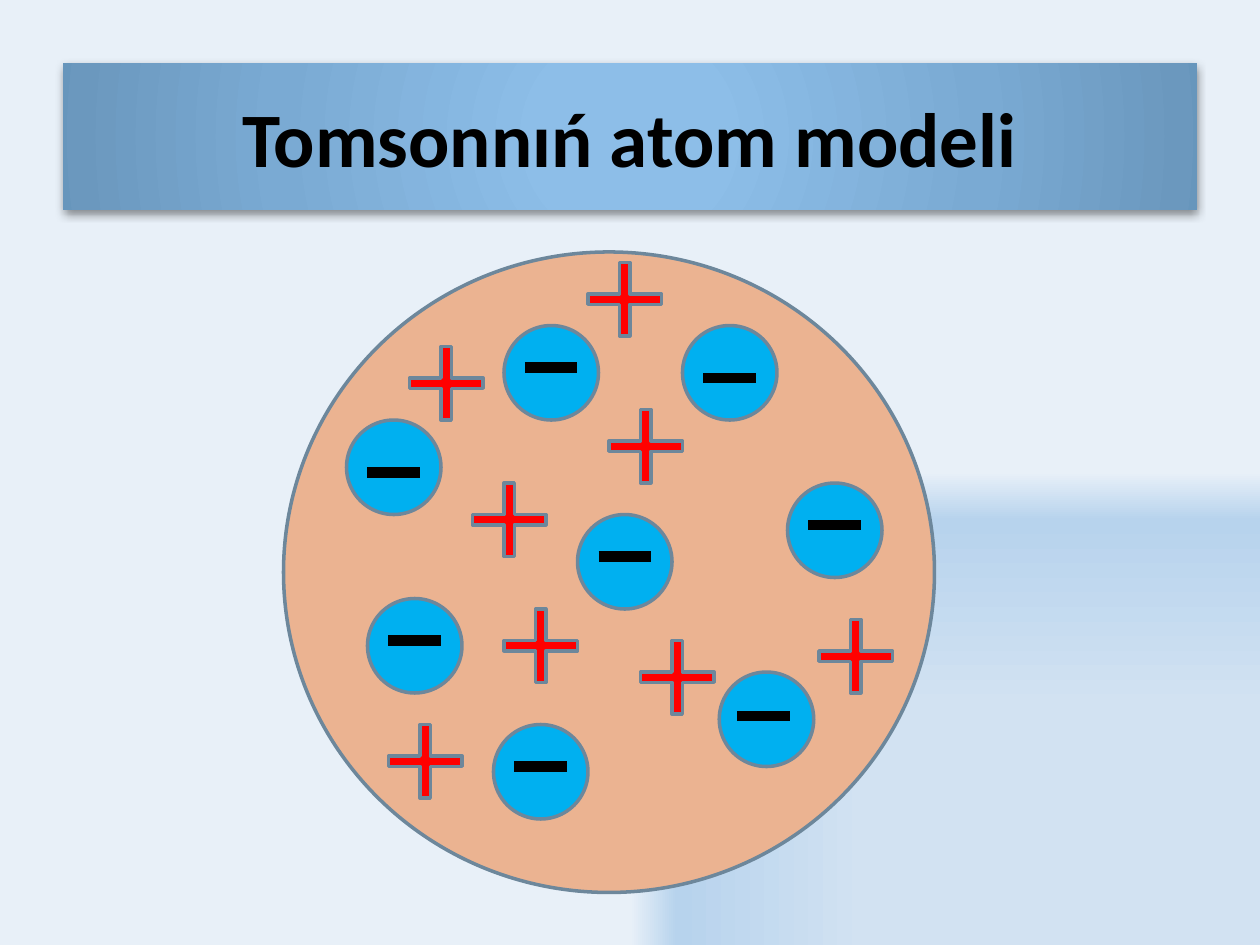
from lxml import etree
from pptx import Presentation
from pptx import util as u
from pptx.dml.color import RGBColor
from pptx.enum import shapes, text
from pptx.oxml import parse_xml
from pptx.oxml.ns import nsdecls, qn

COLORS = {
    "atom": "EBB391",
    "electron": "00B0F0",
    "positive": "FF0000",
    "outline": "6D879B",
    "ink": "000000",
}
BACKGROUND_STOPS = [(50, "D2E2F2"), (90, "B7D3ED"), (100, "E8F0F8")]
BANNER_STOPS = [(0, "8DBFE9"), (15, "8DBEE8"), (62, "7AAAD3"), (97, "6B98BE"), (100, "6796BC")]

COLUMNS, ROWS = 120, 90
ELECTRON_SIZE, POSITIVE_SIZE, MINUS_LENGTH = 9, 7, 5

ATOM = (27, 24, 62, 61)
ELECTRONS = [
    (33, 40, 2, 5), (35, 57, 2, 4), (48, 31, 2, 4), (55, 49, 2, 4),
    (65, 31, 2, 5), (47, 69, 2, 4), (68.5, 64, 1.7, 4.2), (75, 46, 2, 4),
]
POSITIVES = [(45, 46), (39, 33), (58, 39), (48, 58), (37, 69), (61, 61), (78, 59), (56, 25)]


class SlideBuilder:
    font = "Calibri"
    outline_width = 2
    minus_width = 6

    def __init__(self, presentation):
        self.cell_width = presentation.slide_width / COLUMNS
        self.cell_height = presentation.slide_height / ROWS
        self.slide = presentation.slides.add_slide(presentation.slide_layouts[5])

    def place(self, left, top, width, height):
        return (
            round(left * self.cell_width), round(top * self.cell_height),
            round(width * self.cell_width), round(height * self.cell_height),
        )

    def color(self, name):
        return RGBColor.from_string(COLORS[name])

    def gradient(self, owner, stops, shade, focus):
        owner.fill.gradient()
        element = self.slide._element if owner is self.slide.background else owner._element
        gradient = element.xpath(".//a:gradFill")[0]
        for child in list(gradient):
            gradient.remove(child)
        stop_list = etree.SubElement(gradient, qn("a:gsLst"))
        for position, value in stops:
            stop = etree.SubElement(stop_list, qn("a:gs"), pos=str(position * 1000))
            etree.SubElement(stop, qn("a:srgbClr"), val=value)
        shading = etree.SubElement(gradient, qn("a:path"), path=shade)
        sides = {side: str(share * 1000) for side, share in zip("ltrb", focus)}
        etree.SubElement(shading, qn("a:fillToRect"), **sides)

    def background(self):
        self.gradient(self.slide.background, BACKGROUND_STOPS, "rect", (100, 100, 0, 0))

    def title(self, words, box):
        shape = self.slide.shapes.title
        shape.left, shape.top, shape.width, shape.height = self.place(*box)
        self.gradient(shape, BANNER_STOPS, "circle", (50, 50, 50, 50))
        shape._element.spPr.append(parse_xml(
            f'<a:effectLst {nsdecls("a")}>'
            '<a:outerShdw blurRad="63500" dist="25400" dir="5400000" rotWithShape="0">'
            f'<a:srgbClr val="{COLORS["ink"]}"><a:alpha val="43000"/></a:srgbClr>'
            '</a:outerShdw></a:effectLst>'
        ))
        shape.text_frame.vertical_anchor = text.MSO_ANCHOR.MIDDLE
        paragraph = shape.text_frame.paragraphs[0]
        paragraph.alignment = text.PP_ALIGN.CENTER
        run = paragraph.add_run()
        run.text = words
        run.font.name = self.font
        run.font.size = u.Pt(44)
        run.font.bold = True
        run.font.color.rgb = self.color("ink")

    def shape(self, kind, box, fill):
        shape = self.slide.shapes.add_shape(kind, *self.place(*box))
        shape.shadow.inherit = False
        shape.fill.solid()
        shape.fill.fore_color.rgb = self.color(fill)
        shape.line.color.rgb = self.color("outline")
        shape.line.width = u.Pt(self.outline_width)
        return shape

    def circle(self, box, fill):
        self.shape(shapes.MSO_SHAPE.OVAL, box, fill)

    def minus(self, left, top):
        x, y, length, height = self.place(left, top, MINUS_LENGTH, 0)
        line = self.slide.shapes.add_connector(
            shapes.MSO_CONNECTOR.STRAIGHT, x, y, x + length, y + height)
        line.line.color.rgb = self.color("ink")
        line.line.width = u.Pt(self.minus_width)
        etree.SubElement(line._element.spPr, qn("a:effectLst"))

    def electron(self, left, top, minus_left, minus_top):
        self.circle((left, top, ELECTRON_SIZE, ELECTRON_SIZE), "electron")
        self.minus(left + minus_left, top + minus_top)

    def positive(self, left, top):
        box = (left, top, POSITIVE_SIZE, POSITIVE_SIZE)
        plus = self.shape(shapes.MSO_SHAPE.CROSS, box, "positive")
        plus.adjustments[0] = 0.43


def main():
    presentation = Presentation()
    presentation.slide_width = u.Inches(10)
    presentation.slide_height = u.Inches(7.5)

    builder = SlideBuilder(presentation)
    builder.background()
    builder.title("Tomsonnıń atom modeli", (6, 6, 108, 14))
    builder.circle(ATOM, "atom")
    for electron in ELECTRONS:
        builder.electron(*electron)
    for positive in POSITIVES:
        builder.positive(*positive)

    presentation.save("out.pptx")


if __name__ == "__main__":
    main()
